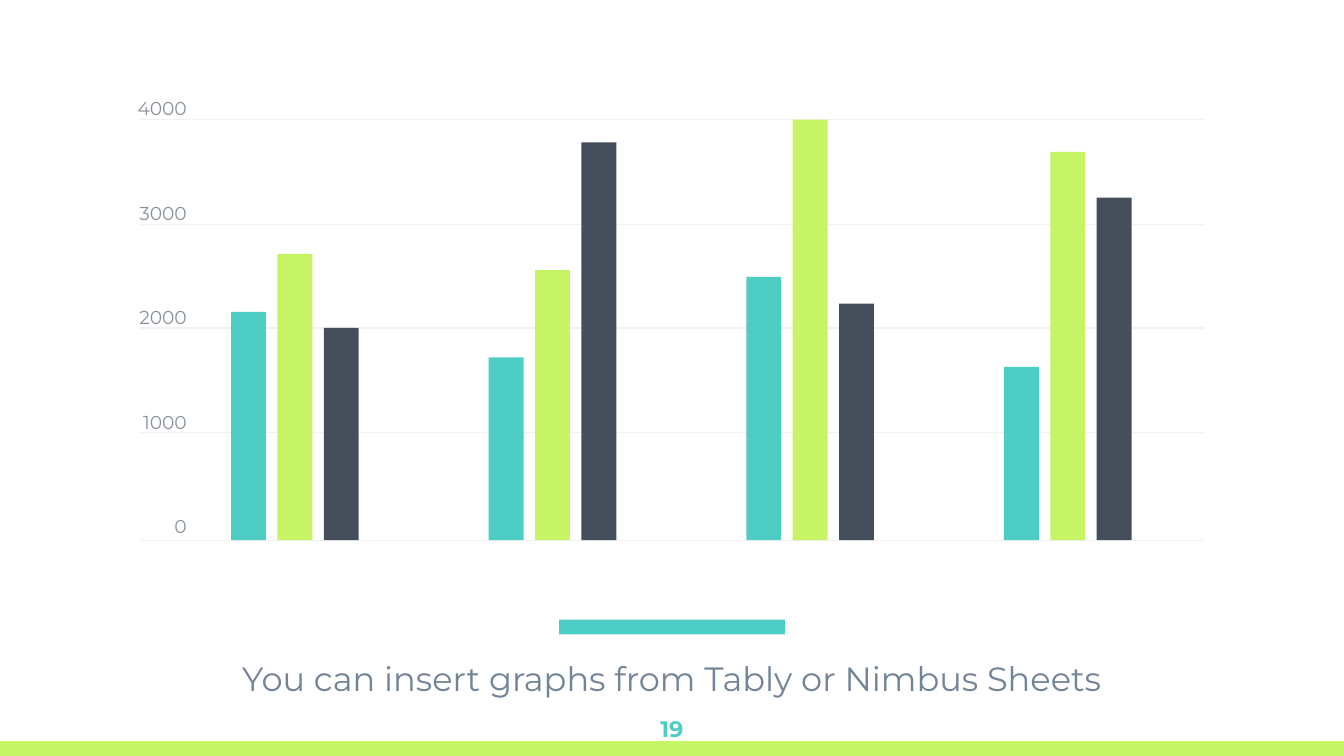
"""Build a slide with a grouped column graph, its scale and a caption."""
from pptx import Presentation
from pptx.dml.color import RGBColor
from pptx.enum.shapes import MSO_CONNECTOR, MSO_SHAPE
from pptx.enum.text import MSO_ANCHOR, PP_ALIGN
from pptx.oxml.ns import qn
from pptx.util import Inches, Pt
from lxml.etree import SubElement

TEAL = RGBColor(0x4E, 0xCD, 0xC4)
LIME = RGBColor(0xC7, 0xF4, 0x64)
SLATE = RGBColor(0x45, 0x4F, 0x5B)
GRID = RGBColor(0xEF, 0xF1, 0xF3)
SCALE_GREY = RGBColor(0x89, 0x92, 0x9B)
CAPTION_BLUE = RGBColor(0x73, 0x84, 0x98)

slide_width = 10
slide_height = slide_width * 9 / 16
presentation = Presentation()
presentation.slide_width = Inches(slide_width)
presentation.slide_height = Inches(slide_height)
slide = presentation.slides.add_slide(presentation.slide_layouts[6])


def add_block(left, top, width, height, color):
    block = slide.shapes.add_shape(
        MSO_SHAPE.RECTANGLE, Inches(left), Inches(top), Inches(width), Inches(height))
    block.shadow.inherit = False
    block.fill.solid()
    block.fill.fore_color.rgb = color
    block.line.fill.background()


def add_text(left, top, width, height, lines, size, color, align, inset=0.1,
             anchor=MSO_ANCHOR.TOP, bold=False, gap=0):
    frame = slide.shapes.add_textbox(
        Inches(left), Inches(top), Inches(width), Inches(height)).text_frame
    frame.word_wrap = True
    frame.vertical_anchor = anchor
    frame.margin_left = frame.margin_right = Inches(inset)
    frame.margin_top = frame.margin_bottom = Inches(inset)
    frame.text = "\n".join(lines)
    for index, paragraph in enumerate(frame.paragraphs):
        paragraph.alignment = align
        paragraph.space_before = Pt(gap if index else 0)
        paragraph.font.name = "Montserrat"
        paragraph.font.size = Pt(size)
        paragraph.font.bold = bold
        paragraph.font.color.rgb = color


footer_height = 0.11
add_block(4.16, 4.61, 1.68, 0.11, TEAL)
add_block(0, slide_height - footer_height, slide_width, footer_height, LIME)
add_text(0.5, 4.66, 9, 0.77, ["You can insert graphs from Tably or Nimbus Sheets"],
         18, CAPTION_BLUE, PP_ALIGN.CENTER, anchor=MSO_ANCHOR.MIDDLE)
add_text(4.7, 5.22, 0.6, 0.34, ["19"], 12, TEAL, PP_ALIGN.CENTER, bold=True)

baseline = 4.02
for level in (0.89, 1.67, 2.44, 3.22, baseline):
    gridline = slide.shapes.add_connector(
        MSO_CONNECTOR.STRAIGHT, Inches(1.04), Inches(level), Inches(8.96), Inches(level))
    gridline.line.color.rgb = GRID
    gridline.line.width = Pt(0.75)
    SubElement(gridline.element.spPr, qn("a:effectLst"))

add_text(0.96, 0.72, 0.43, 3.31, [str(value) for value in range(4000, -1, -1000)],
         10, SCALE_GREY, PP_ALIGN.RIGHT, inset=0, gap=44)

group_heights = [
    (1.7, 2.13, 1.58),
    (1.36, 2.01, 2.96),
    (1.96, 3.13, 1.76),
    (1.29, 2.89, 2.55),
]
first_left, last_left, column_width = 1.72, 7.47, 0.26
group_step = (last_left - first_left) / (len(group_heights) - 1)
column_step = 0.69 / 2
for group, heights in enumerate(group_heights):
    for series, (height, color) in enumerate(zip(heights, (TEAL, LIME, SLATE))):
        left = first_left + group * group_step + series * column_step
        add_block(left, baseline - height, column_width, height, color)

presentation.save("out.pptx")
